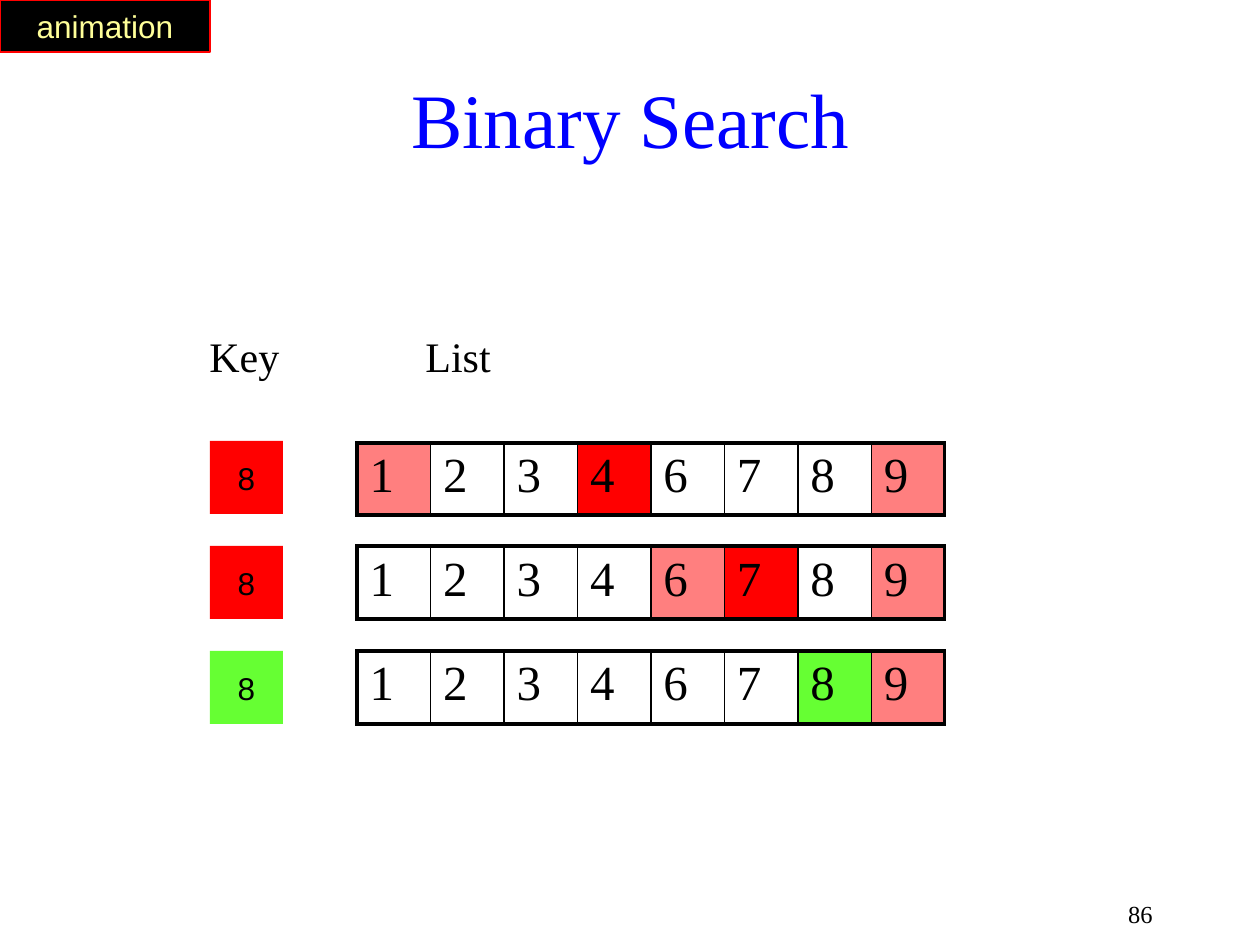
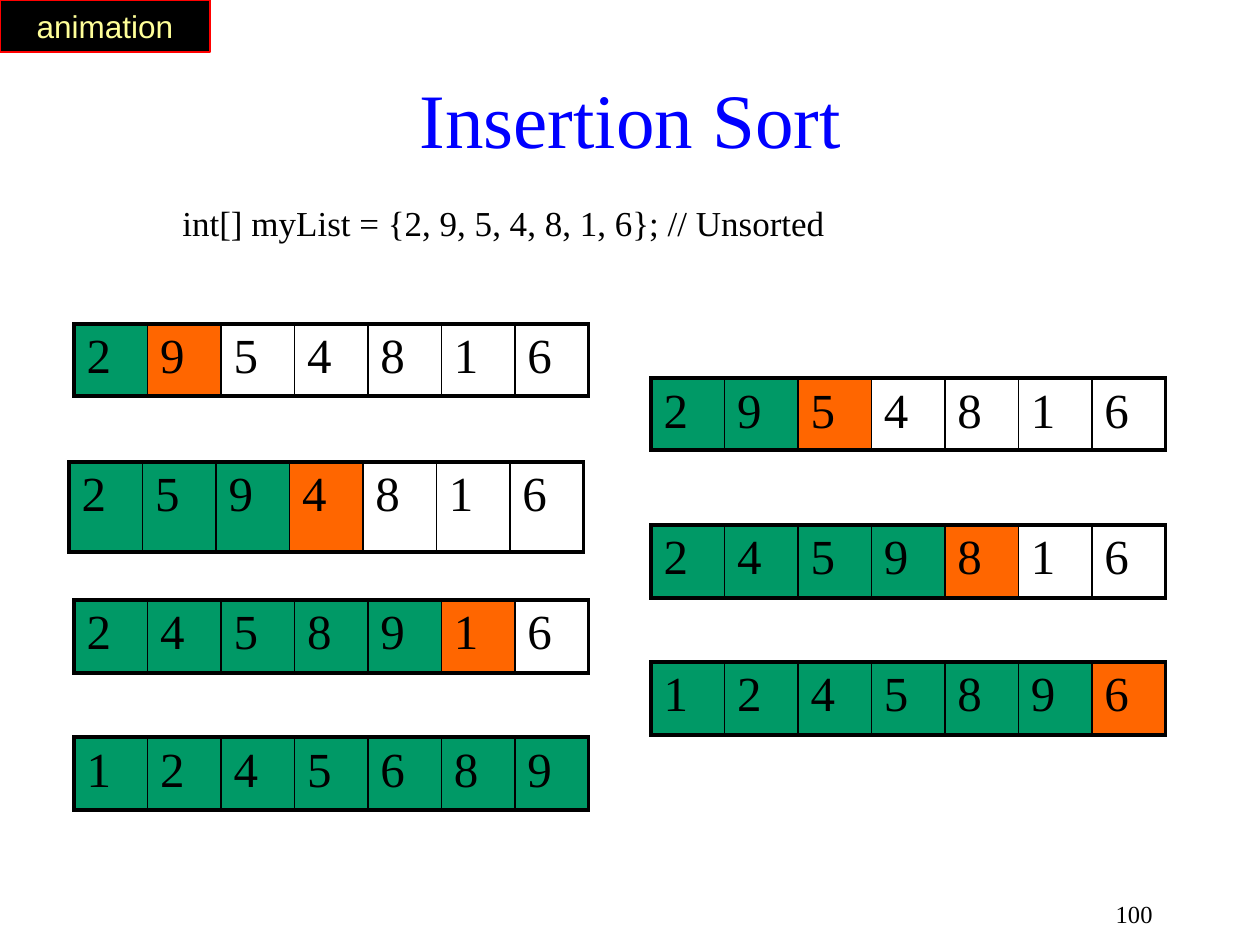
from lxml.etree import SubElement
from pptx import Presentation
from pptx.dml.color import RGBColor
from pptx.enum.shapes import MSO_SHAPE
from pptx.enum.text import MSO_ANCHOR, PP_ALIGN
from pptx.oxml import parse_xml
from pptx.oxml.ns import nsdecls, qn
from pptx.util import Pt

PX = 914400 / 126
CELL = int(73.5 * PX)
BLACK = RGBColor(0x00, 0x00, 0x00)
BLUE = RGBColor(0x00, 0x00, 0xFF)
RED = RGBColor(0xFF, 0x00, 0x00)
LIME = RGBColor(0x66, 0xFF, 0x33)
GREEN = RGBColor(0x00, 0x99, 0x66)
ORANGE = RGBColor(0xFF, 0x66, 0x00)
YELLOW = RGBColor(0xFF, 0xFF, 0x99)
SERIF, SANS = "Times New Roman", "Arial"
LEFT, CENTER, RIGHT = PP_ALIGN.LEFT, PP_ALIGN.CENTER, PP_ALIGN.RIGHT
TOP, MIDDLE = MSO_ANCHOR.TOP, MSO_ANCHOR.MIDDLE


def add_text(s, at, text, size, name=SERIF, color=BLACK, align=LEFT,
             anchor=MIDDLE, fill=None, line=None, para=None):
    """Add a text box, or a rectangle when a fill is given."""
    at = [int(v * PX) for v in at]
    if fill is None:
        sp = s.shapes.add_textbox(*at)
    else:
        sp = s.shapes.add_shape(MSO_SHAPE.RECTANGLE, *at)
        sp.shadow.inherit = False
        sp.fill.solid()
        sp.fill.fore_color.rgb = fill
        if line is None:
            sp.line.fill.background()
        else:
            sp.line.color.rgb = line
            sp.line.width = Pt(1)
    tf = sp.text_frame
    tf.word_wrap = True
    tf.vertical_anchor = anchor
    p = tf.paragraphs[0]
    for key, value in {"alignment": align, **(para or {})}.items():
        setattr(p, key, value)
    r = p.add_run()
    r.text = text
    for key, value in {"size": Pt(size), "name": name}.items():
        setattr(r.font, key, value)
    r.font.color.rgb = color


def add_array(s, x, y, h, values, fills):
    """Draw a list as a one-row table; fills maps an index to (colour, opacity %)."""
    n = len(values)
    tbl = s.shapes.add_table(1, n, int(x * PX), int(y * PX),
                             CELL * n, int(h * PX)).table
    tbl.first_row = tbl.horz_banding = False
    for i, value in enumerate(values):
        tbl.columns[i].width = CELL
        cell = tbl.cell(0, i)
        p = cell.text_frame.paragraphs[0]
        r = p.add_run()
        r.text = str(value)
        for key, v in {"size": Pt(28), "name": SERIF}.items():
            setattr(r.font, key, v)
        r.font.color.rgb = BLACK
        if i in fills:
            color, opacity = fills[i]
            cell.fill.solid()
            cell.fill.fore_color.rgb = color
            if opacity < 100:
                clr = cell._tc.tcPr.find(".//" + qn("a:srgbClr"))
                SubElement(clr, qn("a:alpha"), val=str(opacity * 1000))
        else:
            cell.fill.background()
        widths = {"L": 1 if i else 2.25, "R": 1 if i < n - 1 else 2.25,
                  "T": 2.25, "B": 2.25}
        for k, (side, w) in enumerate(widths.items()):
            cell._tc.tcPr.insert(k, parse_xml(
                f'<a:ln{side} {nsdecls("a")} w="{Pt(w)}"><a:solidFill>'
                f'<a:srgbClr val="{BLACK}"/></a:solidFill></a:ln{side}>'))


prs = Presentation()
prs.slide_width, prs.slide_height = int(1260 * PX), int(945 * PX)

# Parts shared by both slides
slides = []
for title, number in [("Binary Search", 86), ("Insertion Sort", 100)]:
    s = prs.slides.add_slide(prs.slide_layouts[6])
    add_text(s, (903, 882, 262, 63), str(number), 14, align=RIGHT)
    add_text(s, (95, 39, 1071, 158), title, 44, color=BLUE, align=CENTER)
    add_text(s, (0, 0, 210, 52), "animation", 18, SANS, YELLOW, CENTER,
             fill=BLACK, line=RED)
    slides.append(s)
search, sort = slides

# Binary search: the ends of the range are pale, the middle is strong
for x, w, label in [(197, 154, "Key"), (413, 307, "List")]:
    add_text(search, (x, 324, w, 63), label, 24, anchor=TOP,
             para={"space_before": Pt(12)})
numbers, key = [1, 2, 3, 4, 6, 7, 8, 9], 8
low, high = 0, len(numbers) - 1
for step in range(3):
    mid = (low + high) // 2
    color = LIME if numbers[mid] == key else RED
    y = 441 + 105 * step
    add_array(search, 357, (443, 546, 651)[step], 73 if step else 72, numbers,
              {low: (RED, 50), high: (RED, 50), mid: (color, 100)})
    add_text(search, (210, y, 73, 73), str(key), 18, SANS, align=CENTER, fill=color)
    low = mid + 1

# Insertion sort: the sorted part is green, the next value to insert is orange
my_list = [2, 9, 5, 4, 8, 1, 6]
listing = ", ".join(map(str, my_list))
add_text(sort, (170, 203, 746, 63), f"int[] myList = {{{listing}}}; // Unsorted", 20,
         anchor=TOP, para={"line_spacing": 0.8, "space_before": Pt(4)})
places = [(74, 324, 72), (651, 378, 72), (69, 462, 90), (651, 525, 73),
          (74, 600, 73), (651, 662, 73), (74, 737, 73)]
for done, (x, y, h) in enumerate(places, start=1):
    fills = {i: (GREEN, 100) for i in range(done)}
    fills[done] = (ORANGE, 100)
    add_array(sort, x, y, h, sorted(my_list[:done]) + my_list[done:], fills)

prs.save("out.pptx")
